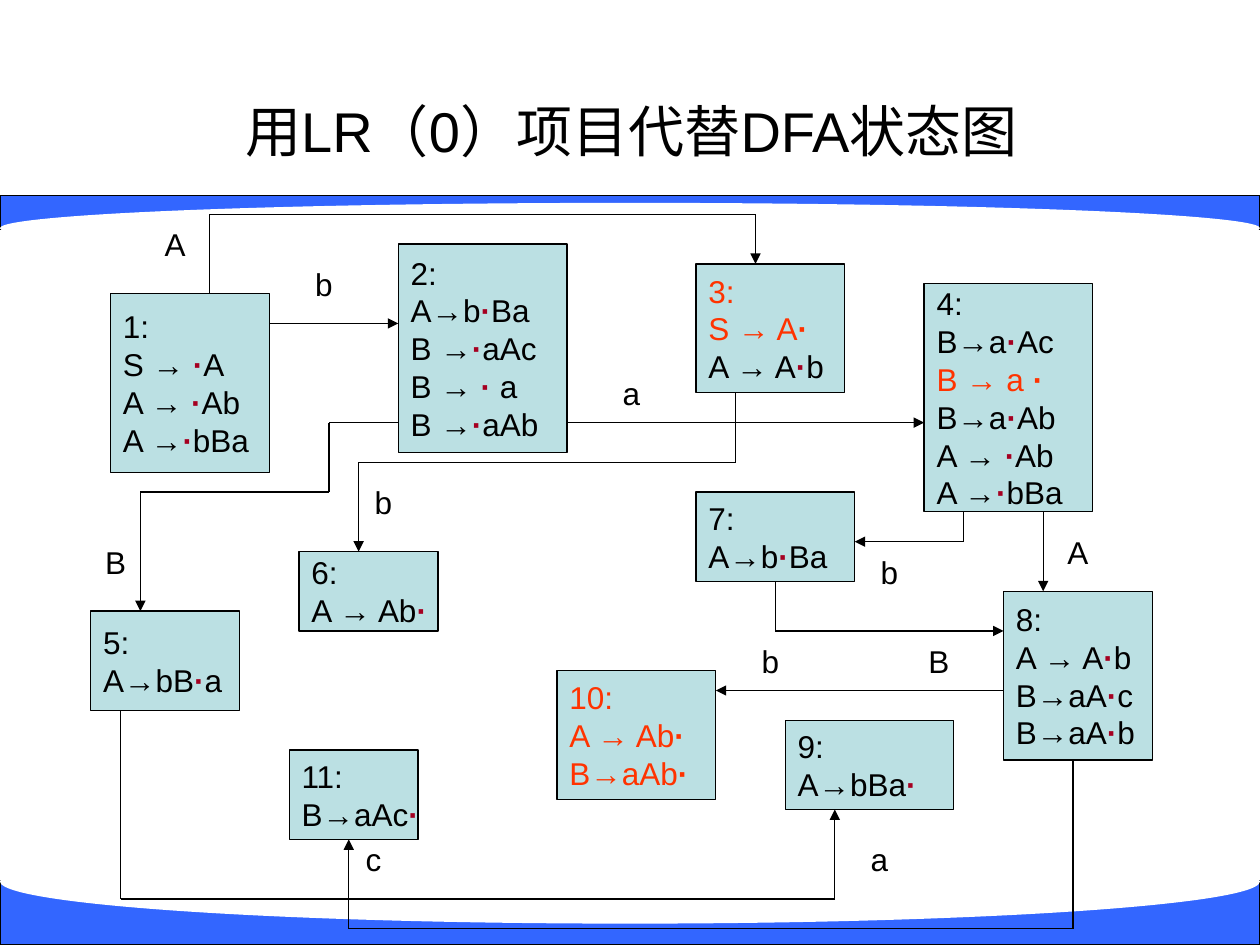
from itertools import pairwise

from lxml import etree
from pptx import Presentation
from pptx import util as u
from pptx.dml.color import RGBColor
from pptx.enum import shapes, text
from pptx.oxml.ns import qn

BLACK, WHITE, BLUE = "000000", "FFFFFF", "3366FF"
NODE_FILL, DOT, REDUCE = "BBE0E3", "A50021", "FF3300"

# Lines that start with "!" are shown in the reduce colour.
STATES = [
    (0.4, 1.6, 3.2, 3.6, ["1:", "S → ·A", "A → ·Ab", "A →·bBa"]),
    (6.2, 0.6, 3.4, 4.2, ["2:", "A→b·Ba", "B →·aAc", "B → · a", "B →·aAb"]),
    (12.2, 1, 3, 2.6, ["!3:", "!S → A·", "A → A·b"]),
    (16.8, 1.4, 3.4, 4.6,
     ["4:", "B→a·Ac", "!B → a ·", "B→a·Ab", "A → ·Ab", "A →·bBa"]),
    (0, 8, 3, 2, ["5:", "A→bB·a"]),
    (4.2, 6.8, 2.8, 1.6, ["6:", "A → Ab·"]),
    (12.2, 5.6, 3.2, 1.8, ["7:", "A→b·Ba"]),
    (18.4, 7.6, 3, 3.4, ["8:", "A → A·b", "B→aA·c", "B→aA·b"]),
    (14, 10.2, 3.4, 1.8, ["9:", "A→bBa·"]),
    (9.4, 9.2, 3.2, 2.6, ["!10:", "!A → Ab·", "!B→aAb·"]),
    (4, 10.8, 2.6, 1.8, ["11:", "B→aAc·"]),
]

TRANSITIONS = [
    ("A", (1.2, 0), [(2.4, 1.6), (2.4, 0), (13.4, 0), (13.4, 1)]),
    ("b", (4.2, 0.8), [(3.6, 2.2), (6.2, 2.2)]),
    ("a", (10.4, 3), [(9.6, 4.2), (16.8, 4.2)]),
    ("B", (0, 6.4), [(6.2, 4.2), (4.8, 4.2), (4.8, 5.6), (1, 5.6), (1, 8)]),
    ("b", (5.4, 5.2), [(13, 3.6), (13, 5), (5.4, 5), (5.4, 6.8)]),
    ("b", (15.6, 6.6), [(17.6, 6), (17.6, 6.6), (15.4, 6.6)]),
    ("A", (19.4, 6.2), [(19.2, 6), (19.2, 7.6)]),
    ("a", (15.4, 12.4), [(0.6, 10), (0.6, 13.8), (15, 13.8), (15, 12)]),
    ("B", (16.6, 8.4), [(13.8, 7.4), (13.8, 8.4), (18.4, 8.4)]),
    ("b", (13.2, 8.4), [(18.4, 9.6), (12.6, 9.6)]),
    ("c", (5.2, 12.4), [(19.8, 11), (19.8, 14.4), (5.2, 14.4), (5.2, 12.6)]),
]


def rgb(value):
    """Turn a hex string into a colour."""
    return RGBColor.from_string(value)


def style(font, size, color=BLACK, bold=False):
    """Format a font in Arial."""
    font.name, font.size, font.bold = "Arial", u.Pt(size), bold
    font.color.rgb = rgb(color)


def add_shape(s, kind, x, y, w, h, fill, outlined=True):
    """Add a flat preset shape."""
    sp = s.shapes.add_shape(kind, u.Cm(x), u.Cm(y), u.Cm(w), u.Cm(h))
    sp.shadow.inherit = False
    sp.fill.solid()
    sp.fill.fore_color.rgb = rgb(fill)
    if outlined:
        sp.line.color.rgb, sp.line.width = rgb(BLACK), u.Pt(0.75)
    else:
        sp.line.fill.background()
    return sp


def add_title(s, x, y, w, h, title):
    """Move and format the title placeholder."""
    sp = s.shapes.title
    sp.left, sp.top, sp.width, sp.height = map(u.Cm, (x, y, w, h))
    tf = sp.text_frame
    tf.text = title
    tf.vertical_anchor = text.MSO_ANCHOR.MIDDLE
    p = tf.paragraphs[0]
    p.alignment = text.PP_ALIGN.CENTER
    style(p.runs[0].font, 32)


def add_band(s, y, h, curve_y, curve_h):
    """Draw a full-width band with a white ellipse cut into it."""
    add_shape(s, shapes.MSO_SHAPE.RECTANGLE, 0, y, 25.4, h, BLUE)
    add_shape(s, shapes.MSO_SHAPE.OVAL, 0, curve_y, 25.4, curve_h, WHITE, False)


def add_state(s, x, y, w, h, lines):
    """Draw a state box with one item per line."""
    tf = add_shape(s, shapes.MSO_SHAPE.RECTANGLE, x, y, w, h, NODE_FILL).text_frame
    tf.word_wrap = False
    tf.vertical_anchor = text.MSO_ANCHOR.MIDDLE
    for i, line in enumerate(lines):
        p = tf.add_paragraph() if i else tf.paragraphs[0]
        p.alignment = text.PP_ALIGN.LEFT
        reduced = line.startswith("!")
        color = REDUCE if reduced else BLACK
        for part in filter(None, line.removeprefix("!").partition("·")):
            r = p.add_run()
            r.text = part
            is_dot = part == "·"
            style(r.font, 18, DOT if is_dot and not reduced else color, is_dot)


def add_label(s, x, y, label):
    """Write a transition symbol."""
    tf = s.shapes.add_textbox(u.Cm(x), u.Cm(y), u.Cm(1), u.Cm(1.2)).text_frame
    tf.text = label
    tf.word_wrap = False
    tf.vertical_anchor = text.MSO_ANCHOR.MIDDLE
    p = tf.paragraphs[0]
    p.alignment = text.PP_ALIGN.CENTER
    style(p.runs[0].font, 18)


def add_route(s, x, y, points):
    """Draw straight segments through the points, with an arrowhead at the end."""
    for (x1, y1), (x2, y2) in pairwise(points):
        line = s.shapes.add_connector(
            shapes.MSO_CONNECTOR.STRAIGHT,
            u.Cm(x + x1), u.Cm(y + y1), u.Cm(x + x2), u.Cm(y + y2))
        line.line.color.rgb, line.line.width = rgb(BLACK), u.Pt(0.75)
        etree.SubElement(line._element.spPr, qn("a:effectLst"))
    etree.SubElement(line.line._get_or_add_ln(), qn("a:tailEnd"), type="triangle")


def add_automaton(s, x, y):
    """Draw the states and transitions from the given top-left corner."""
    for dx, dy, w, h, lines in STATES:
        add_state(s, x + dx, y + dy, w, h, lines)
    for label, (dx, dy), points in TRANSITIONS:
        add_route(s, x, y, points)
        add_label(s, x + dx, y + dy, label)


def main():
    """Build and save the slide."""
    prs = Presentation()
    prs.slide_width, prs.slide_height = u.Cm(25.4), u.Cm(19.05)
    s = prs.slides.add_slide(prs.slide_layouts[5])
    add_band(s, 3.94, 0.69, 4.09, 1.02)
    add_band(s, 17.75, 1.3, 16.92, 1.7)
    add_title(s, 1.3, 1.75, 22.86, 1.75, "用LR（0）项目代替DFA状态图")
    add_automaton(s, 1.83, 4.32)
    prs.save("out.pptx")


if __name__ == "__main__":
    main()
